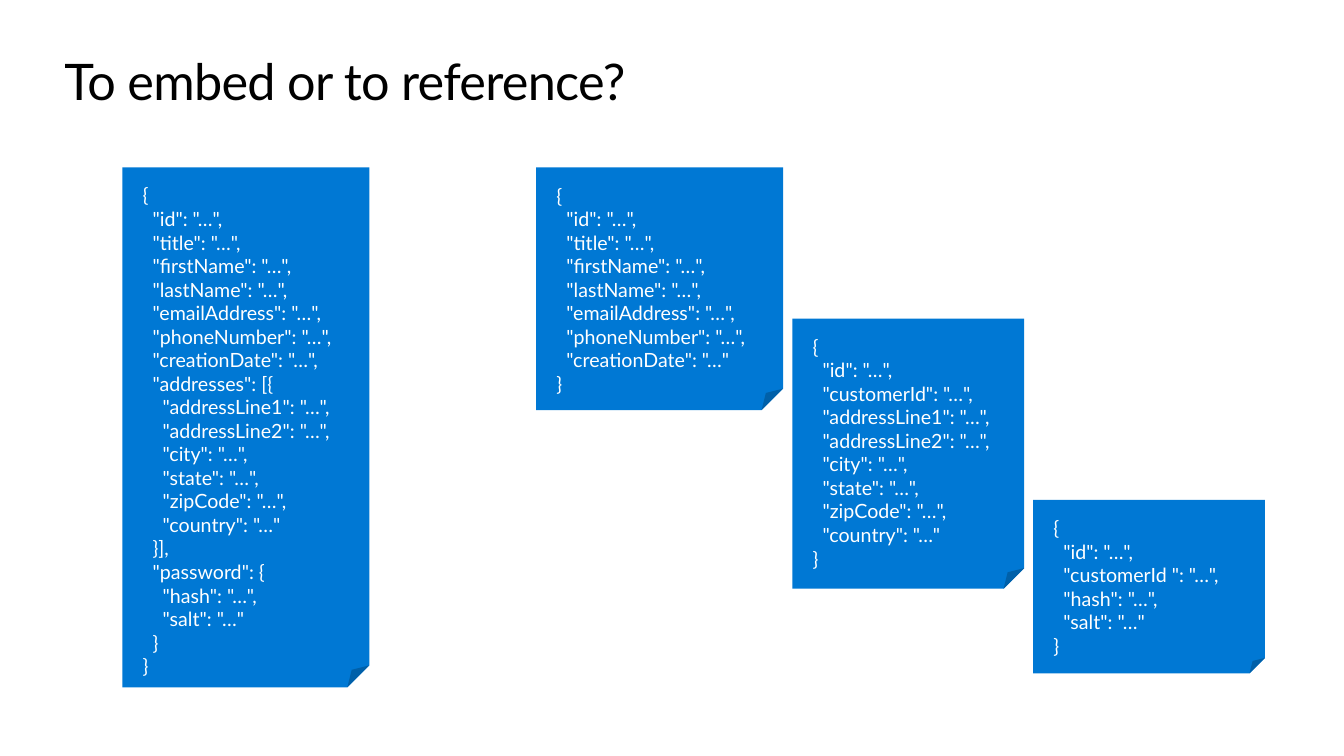
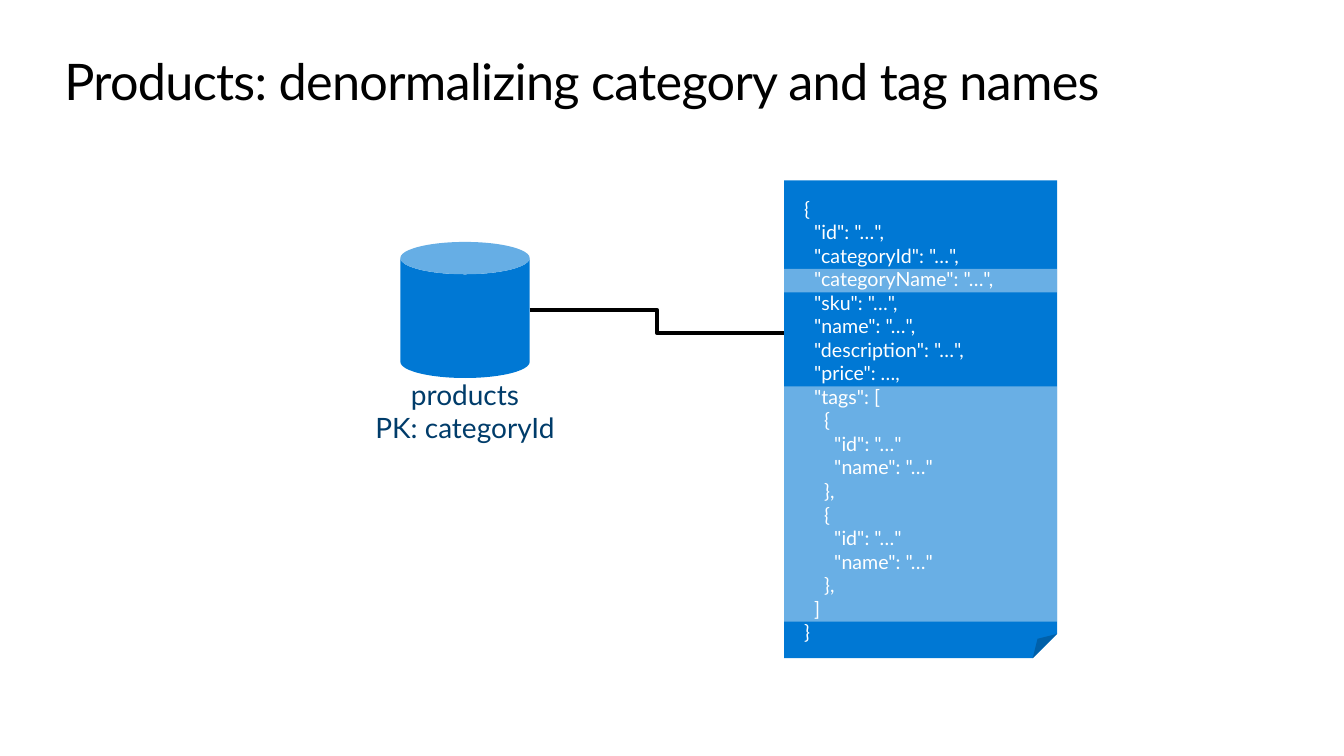
from lxml import etree
from pptx import Presentation
from pptx.dml.color import RGBColor
from pptx.enum.shapes import MSO_CONNECTOR, MSO_SHAPE
from pptx.enum.text import MSO_ANCHOR, MSO_AUTO_SIZE, PP_ALIGN
from pptx.oxml.ns import qn
from pptx.util import Pt

ELBOW = MSO_CONNECTOR.ELBOW
NOTE, CAN, BAND = MSO_SHAPE.FOLDED_CORNER, MSO_SHAPE.CAN, MSO_SHAPE.RECTANGLE
LEFT, CENTER = PP_ALIGN.LEFT, PP_ALIGN.CENTER
TOP, MIDDLE = MSO_ANCHOR.TOP, MSO_ANCHOR.MIDDLE

COLORS = {"blue": "0078D4", "navy": "003C6A", "white": "FFFFFF", "black": "000000"}
FONT = "Lato"
CODE_SIZE = 14
LINE_HEIGHT = 1.2 * CODE_SIZE
NOTE_INSETS = (14.4, 11.5, 14.4, 11.5)
NOTE_FOLD = 8900  # of 100000
BAND_DROP = 1.2  # bands sit slightly below the line tops
BAND_OPACITY = 41

EMBEDDED = """{
  "id": "…",
  "title": "…",
  "firstName": "…",
  "lastName": "…",
  "emailAddress": "…",
  "phoneNumber": "…",
  "creationDate": "…",
  "addresses": [{
    "addressLine1": "…",
    "addressLine2": "…",
    "city": "…",
    "state": "…",
    "zipCode": "…",
    "country": "…"
  }],
  "password": {
    "hash": "…",
    "salt": "…"
  }
}"""

CUSTOMER = """{
  "id": "…",
  "title": "…",
  "firstName": "…",
  "lastName": "…",
  "emailAddress": "…",
  "phoneNumber": "…",
  "creationDate": "…"
}"""

ADDRESS = """{
  "id": "…",
  "customerId": "…",
  "addressLine1": "…",
  "addressLine2": "…",
  "city": "…",
  "state": "…",
  "zipCode": "…",
  "country": "…"
}"""

PASSWORD = """{
  "id": "…",
  "customerId ": "…",
  "hash": "…",
  "salt": "…"
}"""

PRODUCT = """{
  "id": "…",
  "categoryId": "…",
  "categoryName": "…",
  "sku": "…",
  "name": "…",
  "description": "…",
  "price": …,
  "tags": [
    {
      "id": "…"
      "name": "…"
    },
    {
      "id": "…"
      "name": "…"
    },
  ]
}"""

# Text, then left, top, width, height
CUSTOMER_NOTES = [
    (EMBEDDED, (87.4, 119.5, 176.4, 371.5)),
    (CUSTOMER, (383, 119.5, 176.4, 173.5)),
    (ADDRESS, (566, 227.5, 165.6, 193)),
    (PASSWORD, (738, 357, 165.6, 124)),
]
PRODUCT_BOX = (560, 128.9, 195, 341.3)
DENORMALIZED = [(3, 1), (8, 10)]  # first line, number of lines
CONTAINER_LABEL = "products\nPK: categoryId"
CONTAINER_BOX = (286, 172.8, 92.4, 97.2)
LINK_END = 237.6


def color(name):
    return RGBColor.from_string(COLORS[name])


def write(frame, text, size, color_name, insets, align=LEFT, anchor=TOP, wrap=True):
    frame.auto_size = MSO_AUTO_SIZE.NONE
    frame.word_wrap = wrap
    frame.vertical_anchor = anchor
    (frame.margin_left, frame.margin_top,
     frame.margin_right, frame.margin_bottom) = map(Pt, insets)
    frame.text = text
    for para in frame.paragraphs:
        para.alignment = align
        for span in para.runs:
            span.font.name = FONT
            span.font.size = Pt(size)
            span.font.color.rgb = color(color_name)


def add_page(deck, title):
    page = deck.slides.add_slide(deck.slide_layouts[5])
    box = page.shapes.title
    box.left, box.top, box.width, box.height = map(Pt, (46, 36, 868, 44))
    write(box.text_frame, title, 36, "black", (0, 0, 0, 0))
    box.text_frame.paragraphs[0].runs[0]._r.get_or_add_rPr().set("spc", "-50")
    return page


def add_filled(page, kind, place, fill):
    shape = page.shapes.add_shape(kind, *map(Pt, place))
    shape.shadow.inherit = False
    shape.fill.solid()
    shape.fill.fore_color.rgb = color(fill)
    shape.line.fill.background()
    return shape


def add_note(page, text, place):
    note = add_filled(page, NOTE, place, "blue")
    guides = note._element.spPr.find(qn("a:prstGeom")).get_or_add_avLst()
    for guide in list(guides):
        guides.remove(guide)
    etree.SubElement(guides, qn("a:gd"), name="adj", fmla=f"val {NOTE_FOLD}")
    write(note.text_frame, text, CODE_SIZE, "white", NOTE_INSETS)


def add_band(page, place, first, count):
    """Lighten a range of lines in the note at place."""
    left, top, width, _ = place
    band_top = top + NOTE_INSETS[1] + first * LINE_HEIGHT + BAND_DROP
    band = add_filled(page, BAND, (left, band_top, width, count * LINE_HEIGHT), "white")
    tint = band._element.spPr.find(qn("a:solidFill"))[0]
    etree.SubElement(tint, qn("a:alpha"), val=str(BAND_OPACITY * 1000))


def add_link(page, start, end):
    link = page.shapes.add_connector(ELBOW, *map(Pt, start + end))
    link.line.color.rgb = color("black")
    link.line.width = Pt(3)
    etree.SubElement(link._element.spPr, qn("a:effectLst"))


def build_reference_page(deck):
    page = add_page(deck, "To embed or to reference?")
    for text, place in CUSTOMER_NOTES:
        add_note(page, text, place)


def build_products_page(deck):
    page = add_page(deck, "Products: denormalizing category and tag names")
    add_note(page, PRODUCT, PRODUCT_BOX)

    container = add_filled(page, CAN, CONTAINER_BOX, "blue")
    write(container.text_frame, CONTAINER_LABEL, 20, "navy", (0, 144, 0, 11.5),
          CENTER, MIDDLE, wrap=False)

    left, top, width, height = CONTAINER_BOX
    add_link(page, (left + width, top + height / 2), (PRODUCT_BOX[0], LINK_END))

    for first, count in DENORMALIZED:
        add_band(page, PRODUCT_BOX, first, count)


def main():
    deck = Presentation()
    deck.slide_width, deck.slide_height = Pt(960), Pt(540)
    build_reference_page(deck)
    build_products_page(deck)
    deck.save("out.pptx")


if __name__ == "__main__":
    main()
